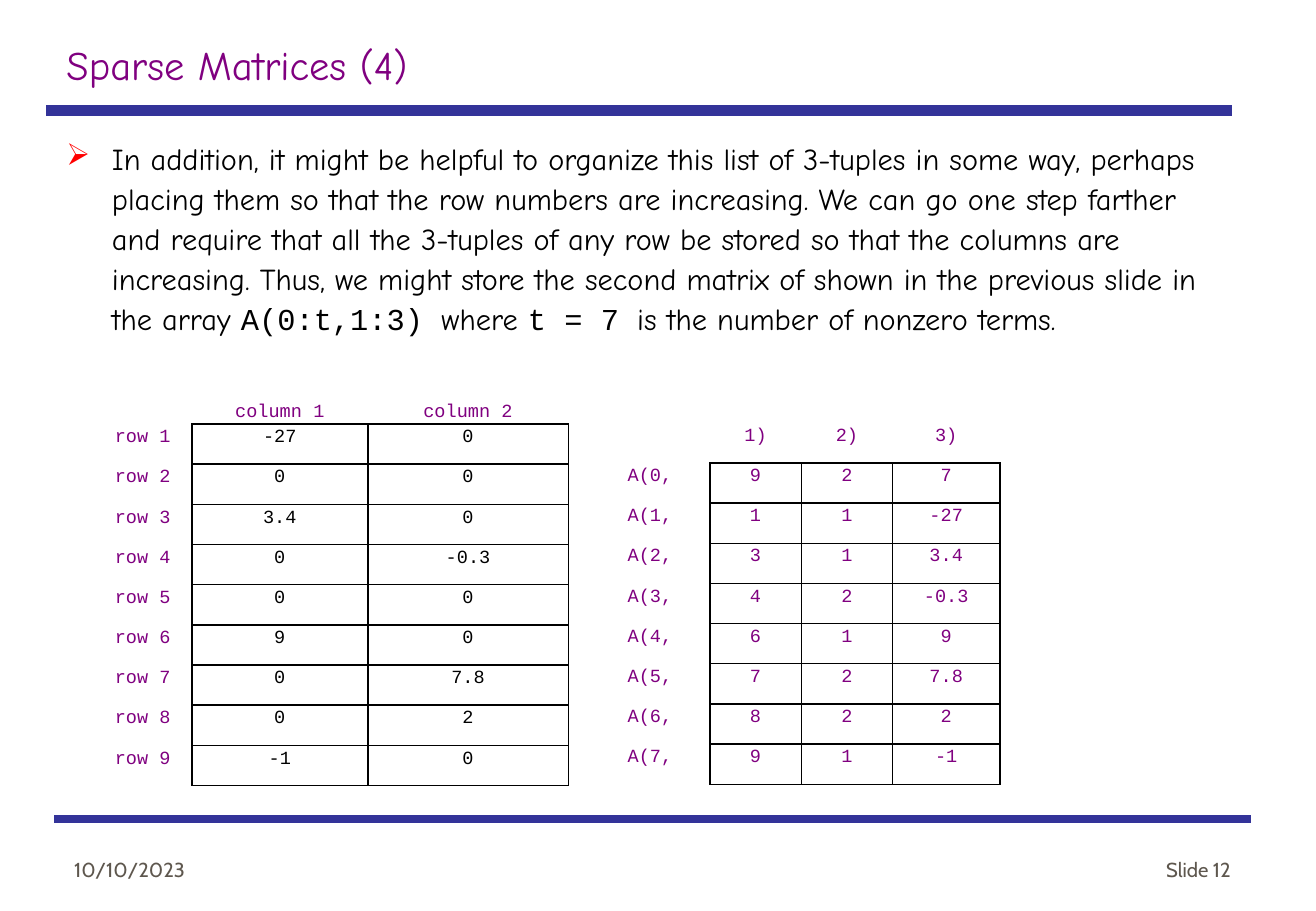
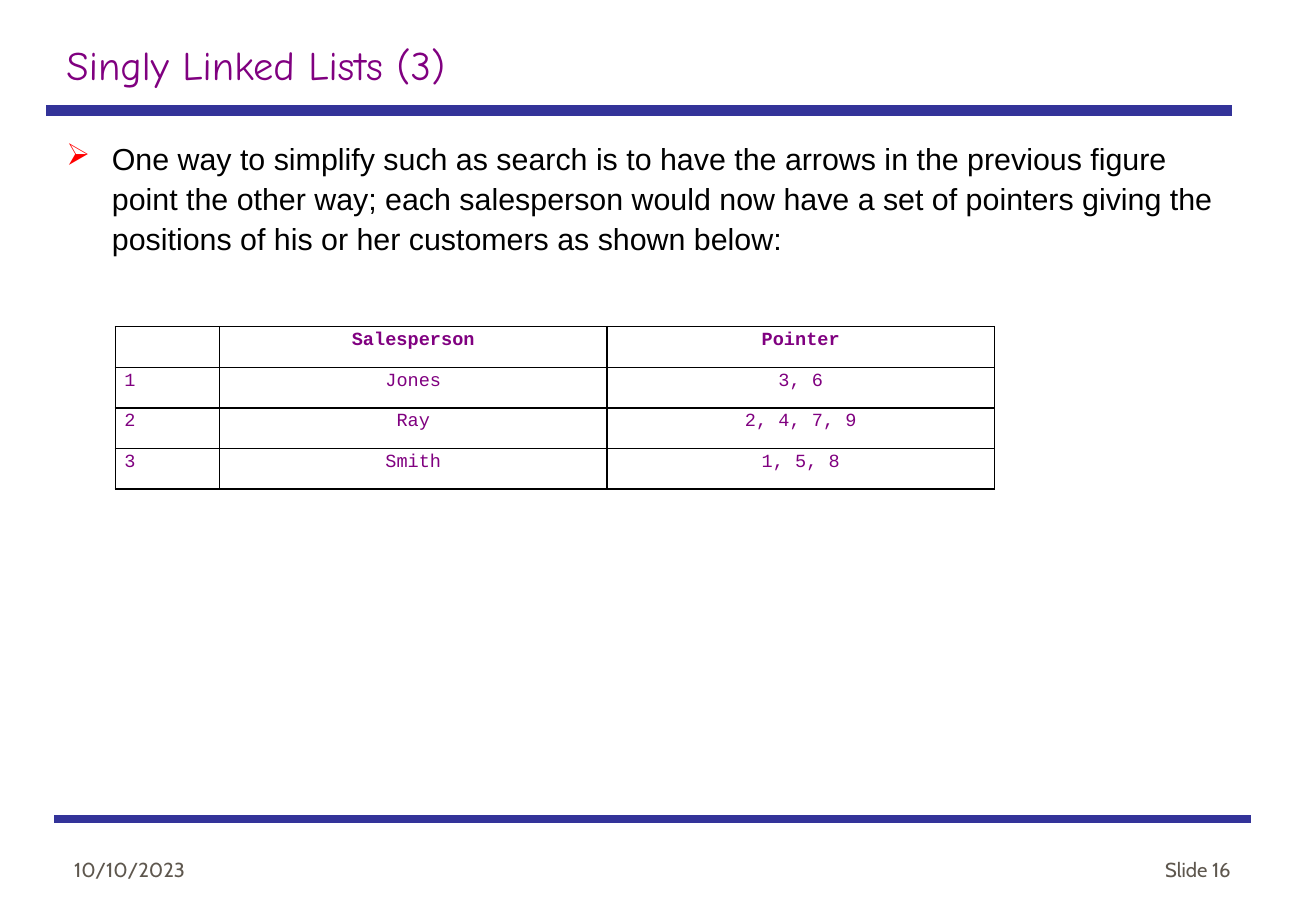
from dataclasses import dataclass

from lxml import etree
from pptx import Presentation
from pptx.dml.color import RGBColor
from pptx.enum.shapes import MSO_CONNECTOR
from pptx.enum.text import MSO_ANCHOR, PP_ALIGN
from pptx.oxml.ns import qn
from pptx.util import Cm, Pt

STRAIGHT = MSO_CONNECTOR.STRAIGHT
TOP, BOTTOM = MSO_ANCHOR.TOP, MSO_ANCHOR.BOTTOM
LEFT, CENTER, RIGHT = PP_ALIGN.LEFT, PP_ALIGN.CENTER, PP_ALIGN.RIGHT


@dataclass(frozen=True)
class Theme:
    rule: str = "333399"
    accent: str = "800080"
    ink: str = "000000"
    bullet: str = "FF0000"
    muted: str = "5E574E"
    heading_font: str = "Comic Neue"
    plain_font: str = "Arial"
    code_font: str = "Courier New"
    footer_font: str = "Cabin"
    title_size: int = 24
    body_size: int = 18
    footer_size: int = 12
    table_size: int = 11


class Deck:
    """Holds the theme and the slide being built."""

    def __init__(self, theme):
        self.theme = theme
        self.presentation = Presentation()
        self.presentation.slide_width = Cm(27.51)
        self.presentation.slide_height = Cm(19.05)
        self.slide = None

    def set_font(self, font, size, color, name=None, bold=False):
        font.size = Pt(size)
        font.color.rgb = RGBColor.from_string(color)
        font.bold = bold
        if name:
            font.name = name

    def add_rule(self, left, right, y, width):
        line = self.slide.shapes.add_connector(
            STRAIGHT, Cm(left), Cm(y), Cm(right), Cm(y))
        line.line.color.rgb = RGBColor.from_string(self.theme.rule)
        line.line.width = Pt(width)
        etree.SubElement(line._element.spPr, qn("a:effectLst"))

    def add_box(self, left, top, width, height, anchor=TOP):
        """Add an empty text box and return its first paragraph."""
        shape = self.slide.shapes.add_textbox(
            Cm(left), Cm(top), Cm(width), Cm(height))
        shape.text_frame.word_wrap = True
        shape.text_frame.vertical_anchor = anchor
        return shape.text_frame.paragraphs[0]

    def add_footer(self, text, left, alignment):
        paragraph = self.add_box(left, 17.3, 5.74, 1.27, BOTTOM)
        paragraph.text = text
        paragraph.alignment = alignment
        self.set_font(paragraph.font, self.theme.footer_size,
                      self.theme.muted, self.theme.footer_font)

    def start_slide(self, title, number):
        """Add a slide with the shared rules, title and footers."""
        layout = self.presentation.slide_layouts[6]
        self.slide = self.presentation.slides.add_slide(layout)
        self.add_rule(0.97, 25.76, 2.31, 6)
        self.add_rule(1.14, 26.16, 17.12, 4.5)
        paragraph = self.add_box(1.14, 0.71, 23.39, 1.27)
        paragraph.text = title
        self.set_font(paragraph.font, self.theme.title_size,
                      self.theme.accent, self.theme.heading_font)
        self.add_footer("10/10/2023", 1.3, LEFT)
        self.add_footer(f"Slide {number}", 20.24, RIGHT)

    def add_bullet(self, runs, height):
        """Add the body bullet; runs are pairs of text and font name."""
        paragraph = self.add_box(1.14, 2.72, 24.61, height)
        paragraph.line_spacing = 1.1
        properties = paragraph._p.get_or_add_pPr()
        properties.set("marL", str(Cm(0.95)))
        properties.set("indent", str(-Cm(0.95)))
        color = etree.SubElement(properties, qn("a:buClr"))
        etree.SubElement(color, qn("a:srgbClr"), val=self.theme.bullet)
        etree.SubElement(properties, qn("a:buChar"), char="➢")
        self.set_font(paragraph.font, self.theme.body_size, self.theme.ink)
        for text, font_name in runs:
            run = paragraph.add_run()
            run.text = text
            run.font.name = font_name

    def set_borders(self, cell, sides):
        """Draw the named sides (L, R, T, B) and clear the others."""
        properties = cell._tc.get_or_add_tcPr()
        for index, side in enumerate("LRTB"):
            line = etree.Element(qn(f"a:ln{side}"), w=str(Pt(1)))
            if side in sides:
                fill = etree.SubElement(line, qn("a:solidFill"))
                etree.SubElement(fill, qn("a:srgbClr"), val=self.theme.ink)
            else:
                etree.SubElement(line, qn("a:noFill"))
            properties.insert(index, line)

    def fill_cell(self, cell, text, color, alignment, bold):
        cell.fill.background()
        cell.margin_left = cell.margin_right = Cm(0.19)
        cell.margin_top = cell.margin_bottom = 0
        paragraph = cell.text_frame.paragraphs[0]
        paragraph.alignment = alignment
        paragraph.line_spacing = 1.15
        if text:
            paragraph.text = text
        else:
            etree.SubElement(paragraph._p, qn("a:endParaRPr"),
                             sz=str(self.theme.table_size * 100))
        self.set_font(paragraph.font, self.theme.table_size, color,
                      self.theme.code_font, bold)

    def add_table(self, left, top, widths, heights, rows, outside=1,
                  value_color=None, bold_header=False):
        """Add a table whose first `outside` rows and columns are unframed."""
        table = self.slide.shapes.add_table(
            len(rows), len(widths), Cm(left), Cm(top),
            Cm(sum(widths)), Cm(sum(heights))).table
        table.first_row = table.horz_banding = False
        for column, width in zip(table.columns, widths):
            column.width = Cm(width)
        for row, height in zip(table.rows, heights):
            row.height = Cm(height)
        for r, values in enumerate(rows):
            for c, text in enumerate(values):
                cell = table.cell(r, c)
                framed = r >= outside and c >= outside
                color = framed and value_color or self.theme.accent
                self.fill_cell(cell, text, color, CENTER if c else LEFT,
                               bold_header and r == 0)
                if framed:
                    sides = "LRTB"
                elif r >= outside and c == outside - 1:
                    sides = "R"
                elif c >= outside and r == outside - 1:
                    sides = "B"
                else:
                    sides = ""
                self.set_borders(cell, sides)


def add_sparse_matrices(deck):
    theme = deck.theme
    deck.start_slide("Sparse Matrices (4)", 12)
    deck.add_bullet([
        ("In addition, it might be helpful to organize this list of 3-tuples "
         "in some way, perhaps placing them so that the row numbers are "
         "increasing. We can go one step farther and require that all the "
         "3-tuples of any row be stored so that the columns are increasing. "
         "Thus, we might store the second matrix of shown in the previous "
         "slide in the array ", theme.heading_font),
        ("A(0:t,1:3) ", theme.code_font),
        ("where ", theme.heading_font),
        ("t = 7 ", theme.code_font),
        ("is the number of nonzero terms.", theme.heading_font),
    ], 14.05)

    # Full matrix
    matrix = [("-27", "0"), ("0", "0"), ("3.4", "0"), ("0", "-0.3"),
              ("0", "0"), ("9", "0"), ("0", "7.8"), ("0", "2"), ("-1", "0")]
    matrix_rows = [("", "column 1", "column 2")]
    matrix_rows += [(f"row {number}", *values)
                    for number, values in enumerate(matrix, 1)]
    deck.add_table(2.21, 8.33, [1.8, 3.68, 4.19], [0.5] + [0.84] * 9,
                   matrix_rows, value_color=theme.ink)

    # List of 3-tuples
    tuples = [("9", "2", "7"), ("1", "1", "-27"), ("3", "1", "3.4"),
              ("4", "2", "-0.3"), ("6", "1", "9"), ("7", "2", "7.8"),
              ("8", "2", "2"), ("9", "1", "-1")]
    tuple_rows = [("", "1)", "2)", "3)")]
    tuple_rows += [(f"A({index},", *values)
                   for index, values in enumerate(tuples)]
    deck.add_table(12.93, 8.84, [1.91, 1.91, 1.91, 2.24], [0.84] * 9,
                   tuple_rows)


def add_linked_lists(deck):
    deck.start_slide("Singly Linked Lists (3)", 16)
    deck.add_bullet([
        ("One way to simplify such as search is to have the arrows in the "
         "previous figure point the other way; each salesperson would now "
         "have a set of pointers giving the positions of his or her "
         "customers as shown below:", deck.theme.plain_font),
    ], 12.73)

    # Pointers of each salesperson
    deck.add_table(2.41, 6.83, [2.18, 8.1, 8.1], [0.85] * 4, [
        ("", "Salesperson", "Pointer"),
        ("1", "Jones", "3, 6"),
        ("2", "Ray", "2, 4, 7, 9"),
        ("3", "Smith", "1, 5, 8"),
    ], outside=0, bold_header=True)


def main():
    deck = Deck(Theme())
    add_sparse_matrices(deck)
    add_linked_lists(deck)
    deck.presentation.save("out.pptx")


if __name__ == "__main__":
    main()
